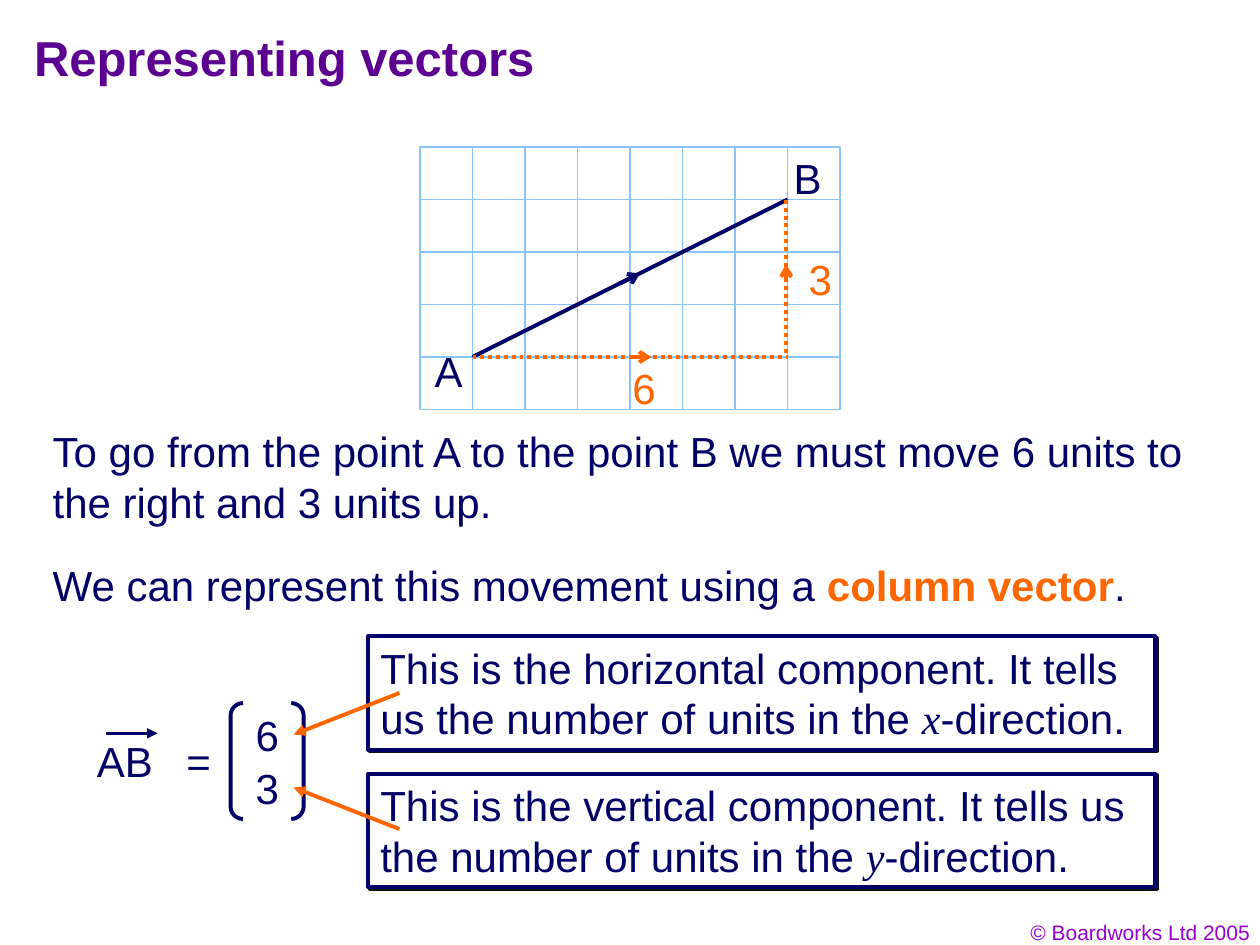
from lxml import etree
from pptx import Presentation
from pptx import util as u
from pptx.dml.color import RGBColor
from pptx.enum import dml, shapes, text
from pptx.oxml import ns

Inches = u.Inches
COLORS = {"ink": "010066", "navy": "000066", "orange": "FF6600", "grid": "89C4FF",
          "white": "FFFFFF", "title": "5B0091", "credit": "9900CC", "shadow": "111111"}
color = {name: RGBColor.from_string(value) for name, value in COLORS.items()}

deck = Presentation()
deck.slide_width, deck.slide_height = Inches(10), Inches(7.5)
page = deck.slides.add_slide(deck.slide_layouts[5])


def add_text(left, top, width, height, words, ink="ink", size=24, wrap=False):
    box = page.shapes.add_textbox(Inches(left), Inches(top), Inches(width), Inches(height))
    box.text_frame.word_wrap = wrap
    box.text_frame.auto_size = text.MSO_AUTO_SIZE.SHAPE_TO_FIT_TEXT
    box.text_frame.text = words
    font = box.text_frame.paragraphs[0].runs[0].font
    font.name, font.size, font.color.rgb = "Arial", u.Pt(size), color[ink]
    return box


def add_line(x1, y1, x2, y2, ink, width=2.25, head=None, dotted=False):
    line = page.shapes.add_connector(shapes.MSO_CONNECTOR.STRAIGHT, Inches(x1), Inches(y1),
                                     Inches(x2), Inches(y2))
    line.line.color.rgb, line.line.width = color[ink], u.Pt(width)
    if dotted:
        line.line.dash_style = dml.MSO_LINE.ROUND_DOT
    properties = line._element.spPr
    if head:
        etree.SubElement(properties.find(ns.qn("a:ln")), ns.qn("a:tailEnd"), type=head)
    etree.SubElement(properties, ns.qn("a:effectLst"))


# Title
title = page.shapes.title
title.left, title.top, title.width, title.height = (Inches(n) for n in (0.17, 0.17, 8.5, 0.67))
title.text_frame.text = "Representing vectors"
title.text_frame.vertical_anchor = text.MSO_ANCHOR.TOP
para = title.text_frame.paragraphs[0]
para.alignment = text.PP_ALIGN.LEFT
font = para.runs[0].font
font.name, font.size, font.bold, font.color.rgb = "Arial", u.Pt(28), True, color["title"]

# Copyright line
credit = add_text(7.69, 7.25, 2.33, 0.3, "© Boardworks Ltd 2005", "credit", 12, wrap=True)
credit.text_frame.paragraphs[0].alignment = text.PP_ALIGN.RIGHT

# Grid of 8 by 5 unit squares
unit, grid_left, grid_top = 5 / 12, 10 / 3, 7 / 6
for row in range(5):
    for column in range(8):
        square = page.shapes.add_shape(
            shapes.MSO_SHAPE.RECTANGLE, Inches(grid_left + column * unit),
            Inches(grid_top + row * unit), Inches(unit), Inches(unit))
        square.shadow.inherit = False
        square.fill.solid()
        square.fill.fore_color.rgb = color["white"]
        square.line.color.rgb, square.line.width = color["grid"], u.Pt(0.75)

# Vector from A to B
ax, ay = grid_left + unit, grid_top + 4 * unit
bx, by = ax + 6 * unit, ay - 3 * unit
add_line(ax, ay, bx, by, "navy")
add_line(4.92, 2.25, 5.08, 2.17, "navy", head="arrow")
add_text(3.35, 2.69, 0.42, 0.5, "A")
add_text(6.2, 1.16, 0.42, 0.5, "B")

# Explanation
add_text(0.32, 3.33, 9.49, 0.9, "To go from the point A to the point B we must move "
         "6 units to the right and 3 units up.", wrap=True)
movement = add_text(0.32, 4.39, 9.33, 0.5, "We can represent this movement using a ", wrap=True)
for words, ink, bold in (("column vector", "orange", True), (".", "ink", False)):
    span = movement.text_frame.paragraphs[0].add_run()
    span.text = words
    span.font.name, span.font.size, span.font.bold = "Arial", u.Pt(24), bold
    span.font.color.rgb = color[ink]

# Column vector
add_text(0.67, 5.79, 0.66, 0.5, "AB")
add_line(0.84, 5.82, 1.25, 5.82, "navy", 1.5, "triangle")
add_text(1.38, 5.79, 0.39, 0.5, "=")
bracket = page.shapes.add_shape(shapes.MSO_SHAPE.DOUBLE_BRACKET, Inches(1.83), Inches(5.58),
                                Inches(0.58), Inches(0.92))
bracket.adjustments[0] = 0.17
bracket.shadow.inherit = False
bracket.fill.background()
bracket.line.color.rgb, bracket.line.width = color["navy"], u.Pt(2.25)
add_text(1.93, 5.58, 0.38, 0.5, "6")
add_text(1.93, 6, 0.38, 0.5, "3")

# Component notes, each with an arrow to its number
notes = (
    (5.05, "This is the horizontal component. It tells us the number of units in the ", "x",
     5.5, 5.83),
    (6.14, "This is the vertical component. It tells us the number of units in the ", "y",
     6.58, 6.25),
)
for top, words, axis, start, end in notes:
    note = page.shapes.add_shape(shapes.MSO_SHAPE.RECTANGLE, Inches(2.92), Inches(top),
                                 Inches(6.25), Inches(0.9))
    note.fill.solid()
    note.fill.fore_color.rgb = color["white"]
    note.line.color.rgb, note.line.width = color["navy"], u.Pt(2.25)
    note.shadow.inherit = False
    effects = note._element.spPr.find(ns.qn("a:effectLst"))
    shadow = etree.SubElement(effects, ns.qn("a:outerShdw"), blurRad="0",
                              dist=str(u.Pt(1.4)), dir="2700000", algn="ctr", rotWithShape="0")
    etree.SubElement(shadow, ns.qn("a:srgbClr"), val=COLORS["shadow"])
    note.text_frame.word_wrap = True
    para = note.text_frame.paragraphs[0]
    para.alignment = text.PP_ALIGN.LEFT
    for part, face in ((words, "Arial"), (axis, "Times New Roman"), ("-direction.", "Arial")):
        span = para.add_run()
        span.text = part
        span.font.name, span.font.size, span.font.italic = face, u.Pt(24), part == axis
        span.font.color.rgb = color["ink"]
    add_line(3.17, start, 2.33, end, "orange", head="triangle")

# Horizontal and vertical steps
add_line(ax, ay, bx, ay, "orange", dotted=True)
add_line(5, ay, 5.17, ay, "orange", head="arrow")
add_text(4.92, 2.83, 0.38, 0.5, "6", "orange")
add_line(6.24, 2.8, 6.24, 1.57, "orange", dotted=True)
add_line(6.24, 2.18, 6.24, 2.1, "orange", head="arrow")
add_text(6.32, 1.96, 0.38, 0.5, "3", "orange")

deck.save("out.pptx")
